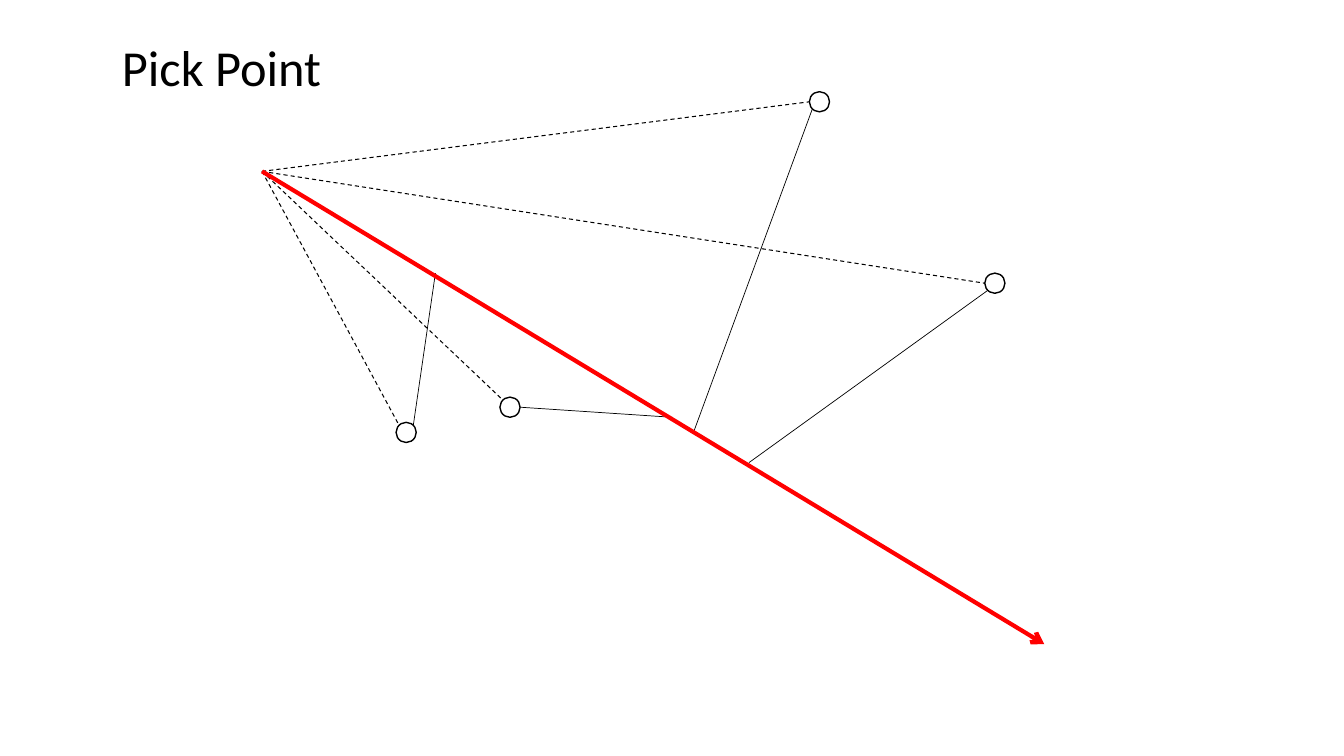
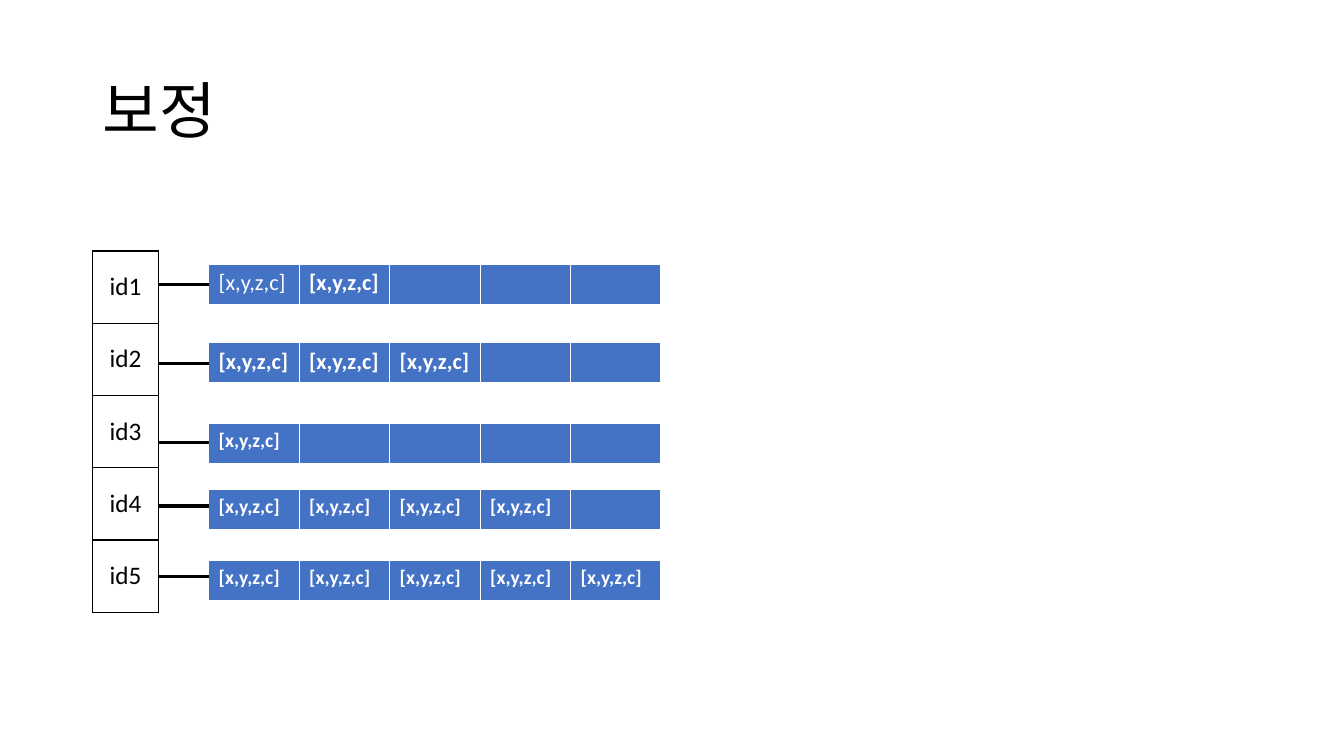
import math

import lxml.etree
import pptx
import pptx.dml.color
import pptx.enum.dml
import pptx.enum.shapes
import pptx.enum.text
import pptx.oxml.ns
import pptx.util

COLUMNS, ROWS = 160, 90
ALIGN = pptx.enum.text.PP_ALIGN
ANCHOR = pptx.enum.text.MSO_ANCHOR


def color(hex_string):
    """Return the colour for a hex string."""
    return pptx.dml.color.RGBColor.from_string(hex_string)


def add_xml(parent, tag, **attributes):
    """Append a DrawingML element to a parent."""
    return lxml.etree.SubElement(parent, pptx.oxml.ns.qn(tag), **attributes)


class Deck:
    """Hold the shared style, the grid and the current slide."""

    font = "Calibri"
    black, white, red, blue = "000000", "FFFFFF", "FF0000", "4472C4"

    def __init__(self):
        """Start a wide presentation."""
        self.presentation = pptx.Presentation()
        self.presentation.slide_width = pptx.util.Inches(13.3333)
        self.presentation.slide_height = pptx.util.Inches(7.5)
        self.slide = None

    def grid(self, *cells):
        """Turn alternating columns and rows into lengths."""
        units = (self.presentation.slide_width / COLUMNS, self.presentation.slide_height / ROWS)
        return [pptx.util.Emu(round(cell * units[index % 2])) for index, cell in enumerate(cells)]

    def style(self, paragraph, size, hex_string, bold=False, align=ALIGN.LEFT):
        """Format one paragraph."""
        paragraph.alignment = align
        paragraph.font.name = self.font
        paragraph.font.size = pptx.util.Pt(size)
        paragraph.font.bold = bold
        paragraph.font.color.rgb = color(hex_string)

    def new_slide(self, title, box, size, anchor, spacing=1.0, wrap=True):
        """Add a slide with its title."""
        self.slide = self.presentation.slides.add_slide(self.presentation.slide_layouts[5])
        shape = self.slide.shapes.title
        shape.left, shape.top, shape.width, shape.height = self.grid(*box)
        frame = shape.text_frame
        frame.text = title
        frame.word_wrap = wrap
        frame.auto_size = pptx.enum.text.MSO_AUTO_SIZE.NONE
        frame.vertical_anchor = anchor
        paragraph = frame.paragraphs[0]
        paragraph.line_spacing = spacing
        self.style(paragraph, size, self.black)

    def circle(self, center, radius):
        """Draw a white circle around a centre."""
        box = self.grid(center[0] - radius, center[1] - radius, 2 * radius, 2 * radius)
        shape = self.slide.shapes.add_shape(pptx.enum.shapes.MSO_SHAPE.OVAL, *box)
        shape.shadow.inherit = False
        shape.fill.solid()
        shape.fill.fore_color.rgb = color(self.white)
        shape.line.color.rgb = color(self.black)
        shape.line.width = pptx.util.Pt(1)

    def line(self, start, end, width, hex_string=black, dashed=False, arrow=False):
        """Draw a straight line between two grid points."""
        connector = self.slide.shapes.add_connector(
            pptx.enum.shapes.MSO_CONNECTOR.STRAIGHT, *self.grid(*start, *end))
        connector.line.color.rgb = color(hex_string)
        connector.line.width = pptx.util.Pt(width)
        if dashed:
            connector.line.dash_style = pptx.enum.dml.MSO_LINE.DASH
        if arrow:
            add_xml(connector.get_or_add_ln(), "a:tailEnd", type="arrow")
        add_xml(connector.element.spPr, "a:effectLst")

    def borders(self, cell, hex_string, bottom_width):
        """Draw the four borders of a table cell."""
        properties = cell._tc.get_or_add_tcPr()
        for side, width in (("L", 1), ("R", 1), ("T", 1), ("B", bottom_width)):
            border = add_xml(properties, f"a:ln{side}", w=str(pptx.util.Pt(width)))
            add_xml(add_xml(border, "a:solidFill"), "a:srgbClr", val=hex_string)

    def table(self, rows, box, size, ink, border, bottom_width=1, fill=None,
              plain=(), bold=False, align=ALIGN.LEFT, anchor=ANCHOR.TOP):
        """Draw a table of equal cells; plain lists texts positions kept regular."""
        table = self.slide.shapes.add_table(len(rows), len(rows[0]), *self.grid(*box)).table
        table.first_row = table.horz_banding = False
        for row, texts in enumerate(rows):
            for column, text in enumerate(texts):
                cell = table.cell(row, column)
                cell.text = text
                cell.vertical_anchor = anchor
                self.borders(cell, border, bottom_width)
                if fill:
                    cell.fill.solid()
                    cell.fill.fore_color.rgb = color(fill)
                else:
                    cell.fill.background()
                self.style(cell.text_frame.paragraphs[0], size, ink,
                           bold and (row, column) not in plain, align)


def pick_point_slide(deck):
    """Show points, their sight lines and their distances to the ray."""
    deck.new_slide("Pick Point", (13.32, 3.72, 26.4, 8.52), 36, ANCHOR.TOP, wrap=False)
    eye, ray_end, radius = (31.2, 20.4), (124.32, 76.68), 1.2
    points = [
        ((48.36, 51.48), 225, 315, (51.84, 32.52)),
        ((118.44, 33.72), 180, 135, (89.16, 55.08)),
        ((97.56, 12.12), 180, 135, (82.56, 51.48)),
        ((60.72, 48.48), 225, 0, (80.04, 49.68)),
    ]

    def rim(center, degrees):
        """Return the point of a circle at a clockwise angle."""
        angle = math.radians(degrees)
        return center[0] + radius * math.cos(angle), center[1] + radius * math.sin(angle)

    for center, sight_angle, foot_angle, foot in points:
        deck.circle(center, radius)
        deck.line(eye, rim(center, sight_angle), 0.75, dashed=True)
        deck.line(rim(center, foot_angle), foot, 0.5)
    deck.line(eye, ray_end, 3, deck.red, arrow=True)


def correction_slide(deck):
    """Show each id linked to its list of entries."""
    deck.new_slide("보정", (11, 4.8, 138, 17.4), 44, ANCHOR.MIDDLE, spacing=0.9)
    slots, ids_left, ids_width, lists_left = 5, 11, 7.9, 24.84
    lists = [
        (2, 31.44, 33.84, 16),
        (3, 40.8, 43.32, 16),
        (1, 50.4, 52.68, 14),
        (4, 58.32, 60.24, 14),
        (5, 66.72, 68.64, 14),
    ]
    ids = [[f"id{number}"] for number in range(1, len(lists) + 1)]
    deck.table(ids, (ids_left, 29.88, ids_width, 43), 18, deck.black, deck.black,
               align=ALIGN.CENTER, anchor=ANCHOR.MIDDLE)
    for index, (count, top, link, size) in enumerate(lists):
        entries = ["[x,y,z,c]"] * count + [""] * (slots - count)
        deck.table([entries], (lists_left, top, 53.88, 4.92), size, deck.white, deck.white,
                   bottom_width=3, fill=deck.blue, bold=True,
                   plain=[(0, 0)] if index == 0 else ())
        deck.line((ids_left + ids_width, link), (lists_left, link), 2.25)


def main():
    """Build and save the presentation."""
    deck = Deck()
    pick_point_slide(deck)
    correction_slide(deck)
    deck.presentation.save("out.pptx")


if __name__ == "__main__":
    main()
